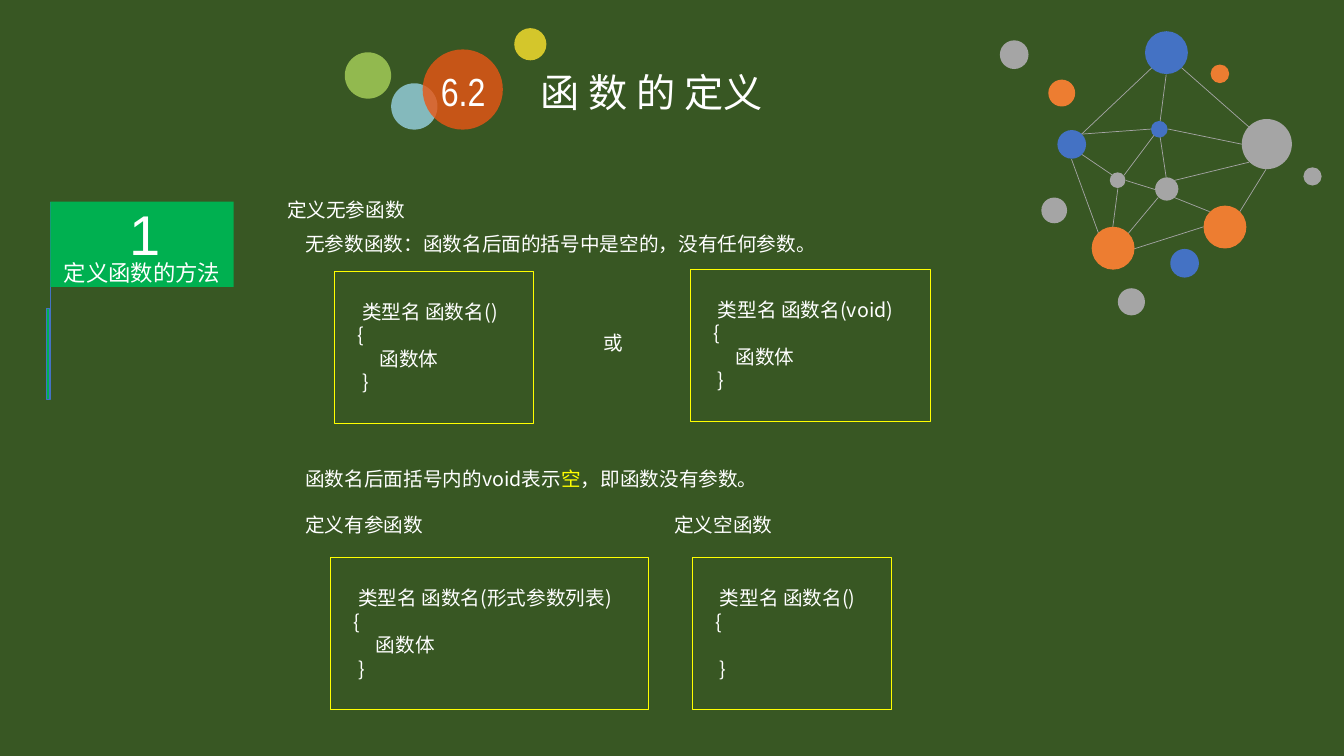
import lxml.etree
import pptx
import pptx.dml.color
import pptx.enum.shapes
import pptx.enum.text
import pptx.oxml.ns
import pptx.util

Pt = pptx.util.Pt
SHAPES = pptx.enum.shapes.MSO_SHAPE
ALIGN = pptx.enum.text.PP_ALIGN
ANCHOR = pptx.enum.text.MSO_ANCHOR
CJK = "Noto Sans CJK SC"
WHITE, YELLOW, GREEN = "FFFFFF", "FFFF00", "00B050"
BLUE, ORANGE, GREY = "4472C4", "ED7D31", "A5A5A5"

NODES = [
    (103.9, 2.3, 30.6, BLUE), (65.8, 142, 30.6, ORANGE), (111.1, 106.7, 16.6, GREY),
    (41.3, 72.9, 20.5, BLUE), (150.7, 26.1, 13.3, ORANGE), (173, 65, 35.8, GREY),
    (108.2, 66.4, 11.9, BLUE), (145.7, 126.9, 30.6, ORANGE), (78.7, 103.1, 11.2, GREY),
    (121.9, 157.8, 20.5, BLUE), (34.8, 36.9, 19.2, ORANGE), (0.2, 8.8, 20.5, GREY),
    (84.5, 185.9, 19.4, GREY), (29.8, 121.1, 18.4, GREY), (217, 99.5, 13, GREY),
]
LINKS = [
    (129.8, 28.2, 178.1, 70.7), (124.8, 108.9, 178.1, 95.9), (171.6, 131.2, 190.3, 101),
    (91.7, 147, 113.3, 121.1), (58.6, 75.8, 109, 28.2), (114.7, 66.4, 119, 33.3),
    (173, 83, 120.5, 72.2), (114.7, 77.9, 119, 106.7), (124.8, 121.1, 150, 131.2),
    (58.6, 75.8, 108.2, 72.2), (51.4, 93.8, 70.8, 147), (58.6, 90.2, 80.9, 105.3),
    (88.8, 105.3, 110.4, 76.5), (90.2, 108.9, 111.1, 115.4), (80.9, 142, 84.5, 114.6),
    (96, 157.8, 145.7, 142),
]


def rgb(value):
    """Turn a hex string into a colour."""
    return pptx.dml.color.RGBColor.from_string(value)


def add_shape(s, kind, x, y, w, h, fill=None, line=None, weight=0.75, alpha=None):
    """Add a preset shape with an optional fill, outline and opacity."""
    sp = s.shapes.add_shape(kind, Pt(x), Pt(y), Pt(w), Pt(h))
    sp.shadow.inherit = False
    if fill:
        sp.fill.solid()
        sp.fill.fore_color.rgb = rgb(fill)
    else:
        sp.fill.background()
    if line:
        sp.line.color.rgb = rgb(line)
        sp.line.width = Pt(weight)
    else:
        sp.line.fill.background()
    if alpha:
        color = sp.fill._xPr.find(".//" + pptx.oxml.ns.qn("a:srgbClr"))
        lxml.etree.SubElement(color, pptx.oxml.ns.qn("a:alpha")).set("val", str(alpha * 1000))
    return sp


def add_line(s, x1, y1, x2, y2, color):
    """Add a thin straight line."""
    cxn = s.shapes.add_connector(pptx.enum.shapes.MSO_CONNECTOR.STRAIGHT, Pt(x1), Pt(y1), Pt(x2), Pt(y2))
    cxn.line.color.rgb = rgb(color)
    cxn.line.width = Pt(0.5)
    lxml.etree.SubElement(cxn._element.spPr, pptx.oxml.ns.qn("a:effectLst"))


def write(p, text, size=14, font=CJK, color=WHITE):
    """Append a formatted run to a paragraph."""
    r = p.add_run()
    r.text = text
    r.font.size = Pt(size)
    r.font.name = font
    r.font.color.rgb = rgb(color)
    lxml.etree.SubElement(r._r.get_or_add_rPr(), pptx.oxml.ns.qn("a:ea")).set("typeface", font)


def set_frame(tf, wrap=True, anchor=ANCHOR.TOP, margins=(7.2, 3.6, 7.2, 3.6)):
    """Set wrapping, anchoring and margins of a text frame."""
    tf.word_wrap = wrap
    tf.vertical_anchor = anchor
    tf.margin_left, tf.margin_top, tf.margin_right, tf.margin_bottom = map(Pt, margins)


def add_text(s, x, y, w, h, *parts, align=ALIGN.LEFT, spacing=None, frame=None, **style):
    """Add a one-paragraph text box; a part is text or a (text, colour) pair."""
    tf = s.shapes.add_textbox(Pt(x), Pt(y), Pt(w), Pt(h)).text_frame
    set_frame(tf, **(frame or {"wrap": False}))
    p = tf.paragraphs[0]
    p.alignment = align
    if spacing:
        p.line_spacing = spacing
    for part in parts:
        if isinstance(part, tuple):
            write(p, part[0], **{**style, "color": part[1]})
        else:
            write(p, part, **style)


def add_header(s, x, y):
    """Draw the section number in its bubbles and the title."""
    bubbles = [(121, 0, 23, "FBE22D"), (0, 17.3, 33.1, "A9D25A"),
               (33.1, 39.4, 33.1, "98D2E3"), (55.6, 15.2, 57.3, "EA5514")]
    for dx, dy, d, color in bubbles:
        add_shape(s, SHAPES.OVAL, x + dx, y + dy, d, d, fill=color, alpha=80)
    add_text(s, x + 64, y + 28.2, 41, 33.8, "6.2", size=28, font="Arial Narrow",
             align=ALIGN.CENTER, frame={"margins": (0, 0, 0, 0)})
    add_text(s, x + 132.6, y + 25.4, 180.7, 41, "函 数 的 定义", size=28)


def add_badge(s, x, y):
    """Draw the numbered topic badge with its hanging bar."""
    add_line(s, x, y, x, y + 141, BLUE)
    add_shape(s, SHAPES.RECTANGLE, x - 2.6, y + 76.5, 2.3, 64.8, fill=GREEN, line=BLUE, weight=1)
    add_shape(s, SHAPES.RECTANGLE, x, y, 131, 61, fill=GREEN)
    labels = [(-8.6, 36, 148.3, 23.8, "定义函数的方法", 16), (33.8, -5.8, 67, 41.8, "1", 40)]
    for dx, dy, w, h, text, size in labels:
        add_text(s, x + dx, y + dy, w, h, text, size=size, font="Arial", align=ALIGN.CENTER, spacing=1.3,
                 frame={"anchor": ANCHOR.MIDDLE, "margins": (10, 5, 10, 5)})


def add_code(s, x, y, w, params="", body="函数体"):
    """Draw a framed function template."""
    sp = add_shape(s, SHAPES.RECTANGLE, x, y, w, 108.7, line=YELLOW)
    tf = sp.text_frame
    set_frame(tf, margins=(7.2, 20.4, 0, 3.6))
    lines = [f"    类型名 函数名({params})", "   {"]
    if body:
        lines.append("        " + body)
    lines.append("    }")
    for i, line in enumerate(lines):
        p = tf.paragraphs[0] if i == 0 else tf.add_paragraph()
        p.alignment = ALIGN.LEFT
        write(p, line)
    if not body:
        p.space_before = Pt(17)


def add_definitions(s, x, y):
    """Lay out the three ways of defining a function."""
    add_text(s, x, y, 99.4, 24.5, "定义无参函数")
    add_text(s, x + 13, y + 24.5, 382.3, 24.5, "无参数函数：函数名后面的括号中是空的，没有任何参数。")
    add_code(s, x + 41, y + 56.2, 142)
    add_text(s, x + 226, y + 95, 28.4, 24.5, "或")
    add_code(s, x + 295.2, y + 54.7, 171.4, params="void")
    add_text(s, x + 13, y + 192.3, 340.6, 24.5, "函数名后面括号内的void表示", ("空", YELLOW), "，即函数没有参数。")
    add_text(s, x + 13, y + 225.4, 99.4, 24.5, "定义有参函数")
    add_code(s, x + 38.2, y + 260.7, 226.8, params="形式参数列表")
    add_text(s, x + 276.5, y + 225.4, 85, 24.5, "定义空函数")
    add_code(s, x + 296.6, y + 260.7, 142, body="")


def add_network(s, x, y):
    """Draw the decorative network of linked dots."""
    for x1, y1, x2, y2 in LINKS:
        add_line(s, x + x1, y + y1, x + x2, y + y2, GREY)
    for dx, dy, d, color in NODES:
        add_shape(s, SHAPES.OVAL, x + dx, y + dy, d, d, fill=color)


def main():
    """Build and save the slide."""
    prs = pptx.Presentation()
    prs.slide_width, prs.slide_height = Pt(960), Pt(540)
    s = prs.slides.add_slide(prs.slide_layouts[6])
    s.background.fill.solid()
    s.background.fill.fore_color.rgb = rgb("385723")
    add_header(s, 246.3, 20.1)
    add_badge(s, 36, 144)
    add_definitions(s, 198, 137.5)
    add_network(s, 714, 20)
    prs.save("out.pptx")


if __name__ == "__main__":
    main()
